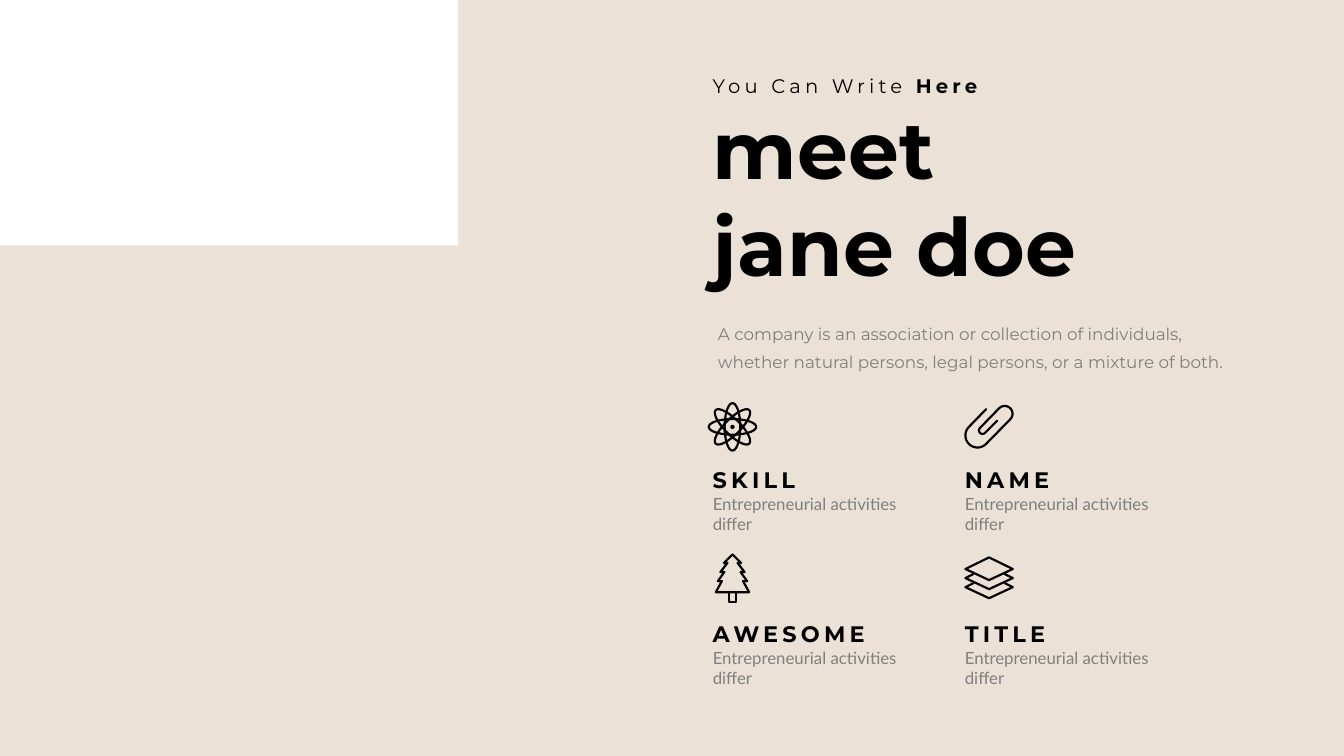
from dataclasses import dataclass
from math import cos, radians, sin

from lxml import etree
from pptx import Presentation
from pptx.dml.color import RGBColor as Rgb
from pptx.enum.shapes import MSO_SHAPE as Preset
from pptx.enum.text import MSO_ANCHOR as Anchor
from pptx.enum.text import MSO_AUTO_SIZE as AutoSize
from pptx.enum.text import PP_ALIGN as Align
from pptx.oxml.ns import qn
from pptx.util import Inches, Pt


@dataclass(frozen=True)
class Style:
    font: str
    size: float
    color: str
    bold: bool = False
    tracking: float = 0  # points between letters


@dataclass(frozen=True)
class Theme:
    sand: str = "ECE1D7"
    white: str = "FFFFFF"
    ink: str = "000000"
    stroke: float = 3.1
    kicker: Style = Style("Montserrat", 28, "000000", tracking=6)
    kicker_bold: Style = Style("Montserrat", 28, "000000", True, 6)
    title: Style = Style("Montserrat", 115, "000000", True)
    intro: Style = Style("Montserrat", 24, "7F7F7F")
    heading: Style = Style("Montserrat", 32, "000000", True, 6)
    detail: Style = Style("Lato", 24, "7F7F7F")


class SlideBuilder:
    def __init__(self, slide, theme):
        self.slide = slide
        self.theme = theme

    def panel(self, left, top, width, height, color):
        shape = self.slide.shapes.add_shape(
            Preset.RECTANGLE, *map(Inches, (left, top, width, height)))
        shape.shadow.inherit = False
        shape.fill.solid()
        shape.fill.fore_color.rgb = Rgb.from_string(color)
        shape.line.fill.background()

    def fill_frame(self, frame, paragraphs):
        """Each paragraph is a list of (text, style) runs."""
        for index, runs in enumerate(paragraphs):
            para = frame.add_paragraph() if index else frame.paragraphs[0]
            para.alignment = Align.LEFT
            for text, style in runs:
                span = para.add_run()
                span.text = text
                span.font.name = style.font
                span.font.size = Pt(style.size)
                span.font.bold = style.bold
                span.font.color.rgb = Rgb.from_string(style.color)
                if style.tracking:
                    span._r.get_or_add_rPr().set("spc", str(int(style.tracking * 100)))

    def title(self, left, top, width, height, lines):
        box = self.slide.shapes.title
        box.left, box.top, box.width, box.height = map(Inches, (left, top, width, height))
        box.element.getparent().append(box.element)  # in front of the panels
        frame = box.text_frame
        frame.vertical_anchor = Anchor.TOP
        frame.auto_size = AutoSize.SHAPE_TO_FIT_TEXT
        self.fill_frame(frame, [[(line, self.theme.title)] for line in lines])

    def text(self, left, top, width, height, runs, wrap=True):
        box = self.slide.shapes.add_textbox(*map(Inches, (left, top, width, height)))
        frame = box.text_frame
        frame.word_wrap = wrap
        frame.auto_size = AutoSize.SHAPE_TO_FIT_TEXT
        self.fill_frame(frame, [runs])
        return frame

    def icon(self, center_x, center_y, strokes):
        """Each stroke is (points around the centre, closed)."""
        builder = None
        for points, closed in strokes:
            start, *rest = [(Inches(center_x + x), Inches(center_y + y)) for x, y in points]
            if builder is None:
                builder = self.slide.shapes.build_freeform(*start)
            else:
                builder.move_to(*start)
            builder.add_line_segments(rest, close=closed)
        shape = builder.convert_to_shape()
        shape.shadow.inherit = False
        shape.fill.background()
        shape.line.width = Pt(self.theme.stroke)
        shape.line.color.rgb = Rgb.from_string(self.theme.ink)
        outline = shape.line._get_or_add_ln()
        outline.set("cap", "rnd")
        etree.SubElement(outline, qn("a:round"))


# Icon geometry, in inches around the icon centre
def ellipse(radius_x, radius_y, turn=0):
    turn = radians(turn)
    points = []
    for angle in map(radians, range(0, 360, 6)):
        x, y = radius_x * cos(angle), radius_y * sin(angle)
        points.append((x * cos(turn) - y * sin(turn), x * sin(turn) + y * cos(turn)))
    return points


def half_turn(center_x, center_y, radius, start):
    angles = [radians(start - step) for step in range(0, 181, 10)]
    return [(center_x + radius * cos(a), center_y + radius * sin(a)) for a in angles]


def atom():
    orbits = [(ellipse(0.47, 0.155, turn), True) for turn in (0, 45, 90, 135)]
    return orbits + [(ellipse(0.02, 0.02), True)]


def paperclip():
    wire = [(-0.06, -0.35), *half_turn(-0.23, 0.17, 0.24, 225),
            *half_turn(0.31, -0.26, 0.155, 45),
            *half_turn(-0.13, 0.07, 0.07, 225), (0.16, -0.12)]
    return [(wire, False)]


def tree():
    right = [(0, -0.47), (0.17, -0.3), (0.1, -0.3), (0.24, -0.12), (0.16, -0.12),
             (0.29, 0.06), (0.21, 0.06), (0.33, 0.28)]
    left = [(-x, y) for x, y in reversed(right[1:])]
    trunk = [(-0.07, 0.28), (-0.07, 0.47), (0.07, 0.47), (0.07, 0.28)]
    return [(right + left, True), (trunk, False)]


def layers():
    top = [(0, -0.41), (0.47, -0.18), (0, 0.04), (-0.47, -0.18)]
    sheet = [(-0.31, -0.08), (-0.47, 0), (0, 0.22), (0.47, 0), (0.31, -0.08)]
    lower = [([(x, y + drop) for x, y in sheet], False) for drop in (0, 0.18)]
    return [(top, True)] + lower


def main():
    deck = Presentation()
    deck.slide_width, deck.slide_height = Inches(26.66), Inches(15)
    theme = Theme()
    page = SlideBuilder(deck.slides.add_slide(deck.slide_layouts[5]), theme)
    left = 14.04

    # Background and photo area
    page.panel(0, 0, 26.66, 15, theme.sand)
    page.panel(0, 0, 9.09, 4.87, theme.white)

    # Heading block
    page.text(left, 1.41, 6.77, 0.57,
              [("You Can Write ", theme.kicker), ("Here", theme.kicker_bold)])
    page.title(left, 1.92, 9.23, 3.97, ["meet", "jane doe"])

    # Introduction
    intro = page.text(left, 6.16, 10.79, 1.33, [(
        "A company is an association or collection of individuals, "
        "whether natural persons, legal persons, or a mixture of both.", theme.intro)])
    intro.margin_left = intro.margin_right = Inches(0.2)
    intro.margin_top = intro.margin_bottom = Inches(0.1)
    intro.paragraphs[0].line_spacing = 1.4

    # Two by two grid of features
    features = [("SKILL", 1.87, atom), ("NAME", 1.94, paperclip),
                ("AWESOME", 3.27, tree), ("TITLE", 1.85, layers)]
    for index, (name, width, draw) in enumerate(features):
        row, column = divmod(index, 2)
        x, y = left + 5 * column, 9.19 + 3.06 * row
        page.icon(14.53 + 5.09 * column, 8.47 + 3 * row, draw())
        page.text(x, y, width, 0.64, [(name, theme.heading)], wrap=False)
        page.text(x, y + 0.55, 4.15, 0.91,
                  [("Entrepreneurial activities differ", theme.detail)])

    deck.save("out.pptx")


if __name__ == "__main__":
    main()
